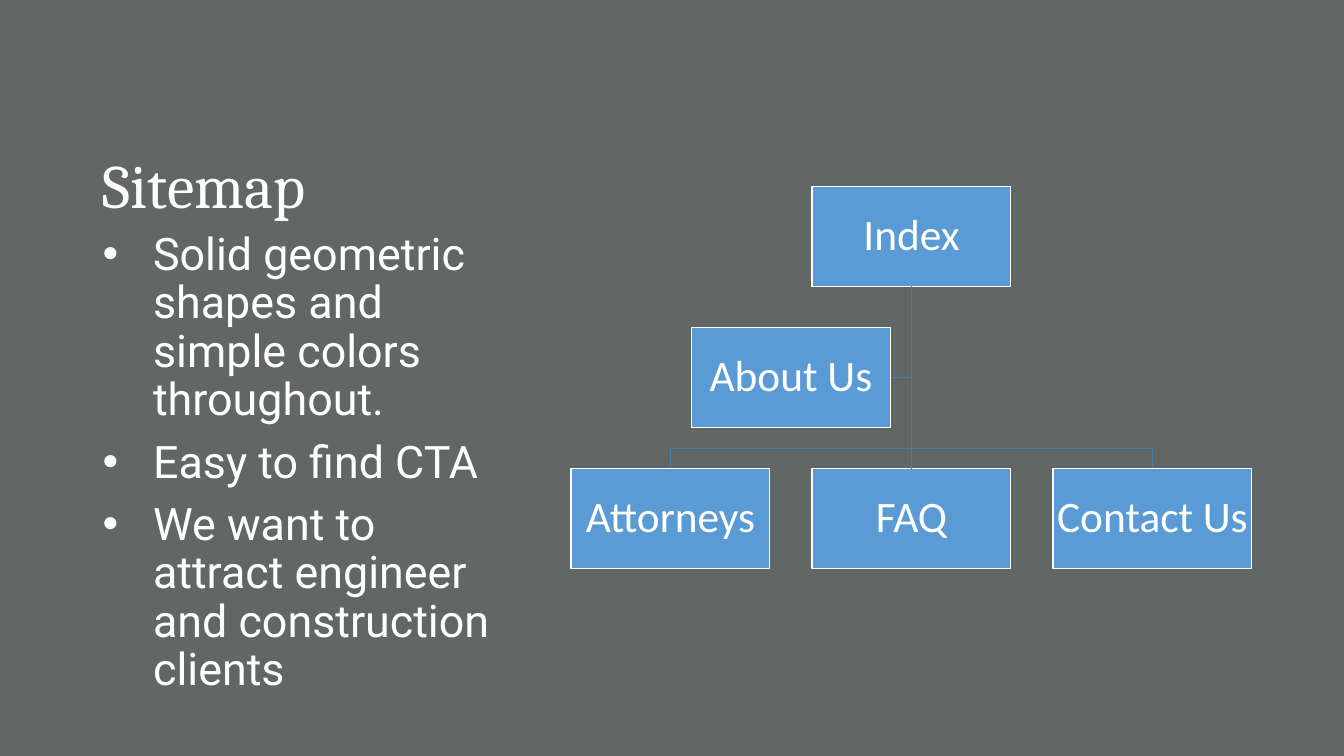
from lxml.etree import SubElement
from pptx import Presentation
from pptx.dml.color import RGBColor
from pptx.enum.shapes import MSO_CONNECTOR as Connector, MSO_SHAPE as Shape
from pptx.enum.text import MSO_ANCHOR as Anchor, PP_ALIGN as Align
from pptx.oxml.ns import qn
from pptx.util import Inches, Pt

GRAY = RGBColor(0x62, 0x67, 0x65)
WHITE = RGBColor(0xFF, 0xFF, 0xFF)
BLUE = RGBColor(0x5B, 0x9B, 0xD5)
LINE_BLUE = RGBColor(0x49, 0x7C, 0xAB)

BOX_WIDTH, BOX_HEIGHT = 1.97, 0.99
CENTER, TOP = 9.04, 1.85
COLUMN_STEP, ROW_STEP = 2.39, 1.4
BUS_GAP = 0.2


class SitemapSlide:
    """Holds the style and the current slide, and draws each kind of element."""

    title_font = {"name": "Cambria", "size": Pt(44)}
    body_font = {"name": "Roboto", "size": Pt(32)}
    box_font = {"name": "Calibri", "size": Pt(31)}

    def __init__(self, deck):
        self.page = deck.slides.add_slide(deck.slide_layouts[6])
        self.page.background.fill.solid()
        self.page.background.fill.fore_color.rgb = GRAY

    def style(self, para, font, **layout):
        for name, value in {"line_spacing": 0.9, **layout}.items():
            setattr(para, name, value)
        for name, value in font.items():
            setattr(para.font, name, value)
        para.font.color.rgb = WHITE

    def bullet(self, para):
        props = para._p.get_or_add_pPr()
        props.set("marL", str(Inches(0.5)))
        props.set("indent", str(-Inches(0.5)))
        SubElement(props, qn("a:buFont")).set("typeface", "Arial")
        SubElement(props, qn("a:buChar")).set("char", "•")

    def text(self, lines, top, height, font, anchor=Anchor.TOP, bullets=False):
        frame = self.page.shapes.add_textbox(
            Inches(0.92), Inches(top), Inches(4.3), Inches(height)).text_frame
        frame.word_wrap = True
        frame.vertical_anchor = anchor
        for index, line in enumerate(lines):
            para = frame.paragraphs[0] if index == 0 else frame.add_paragraph()
            para.text = line
            if bullets:
                self.bullet(para)
            self.style(para, font, space_before=Pt(10 if index else 0))

    def box(self, label, center, top):
        box = self.page.shapes.add_shape(
            Shape.RECTANGLE, Inches(center - BOX_WIDTH / 2), Inches(top),
            Inches(BOX_WIDTH), Inches(BOX_HEIGHT))
        box.shadow.inherit = False
        box.fill.solid()
        box.fill.fore_color.rgb = BLUE
        box.line.color.rgb = WHITE
        box.line.width = Pt(1)
        frame = box.text_frame
        frame.word_wrap = True
        frame.vertical_anchor = Anchor.MIDDLE
        for side in ("left", "top", "right", "bottom"):
            setattr(frame, f"margin_{side}", Inches(0.02))
        para = frame.paragraphs[0]
        para.text = label
        self.style(para, self.box_font, alignment=Align.CENTER)
        return box

    def branch(self, *points):
        start, *rest = [(Inches(x), Inches(y)) for x, y in points]
        builder = self.page.shapes.build_freeform(*start)
        builder.add_line_segments(rest, close=False)
        branch = builder.convert_to_shape()
        branch.shadow.inherit = False
        branch.fill.background()
        branch.line.color.rgb = LINE_BLUE
        branch.line.width = Pt(1)

    def stem(self, upper, lower):
        stem = self.page.shapes.add_connector(Connector.STRAIGHT, 0, 0, 0, 0)
        stem.begin_connect(upper, 2)
        stem.end_connect(lower, 0)
        stem.line.color.rgb = LINE_BLUE
        stem.line.width = Pt(1)
        SubElement(stem._element.spPr, qn("a:effectLst"))


def main():
    deck = Presentation()
    deck.slide_width, deck.slide_height = Inches(13.33), Inches(7.5)
    slide = SitemapSlide(deck)

    slide.text(["Sitemap"], 0.5, 1.75, slide.title_font, Anchor.BOTTOM)

    trunk = (CENTER, TOP + BOX_HEIGHT)
    middle_top, bottom_top = TOP + ROW_STEP, TOP + 2 * ROW_STEP
    about_center = CENTER - COLUMN_STEP / 2
    about_middle = middle_top + BOX_HEIGHT / 2
    bus = bottom_top - BUS_GAP

    slide.branch(trunk, (CENTER, about_middle),
                 (about_center + BOX_WIDTH / 2, about_middle))
    for side in (1, -1):
        column = CENTER + side * COLUMN_STEP
        slide.branch(trunk, (CENTER, bus), (column, bus), (column, bottom_top))

    index_box = slide.box("Index", CENTER, TOP)
    pages = [slide.box(label, CENTER + column * COLUMN_STEP, bottom_top)
             for column, label in enumerate(("Attorneys", "FAQ", "Contact Us"), -1)]
    slide.box("About Us", about_center, middle_top)
    slide.stem(index_box, pages[1])

    slide.text(["Solid geometric shapes and simple colors throughout.",
                "Easy to find CTA",
                "We want to attract engineer and construction clients"],
               2.25, 4.17, slide.body_font, bullets=True)
    deck.save("out.pptx")


if __name__ == "__main__":
    main()
